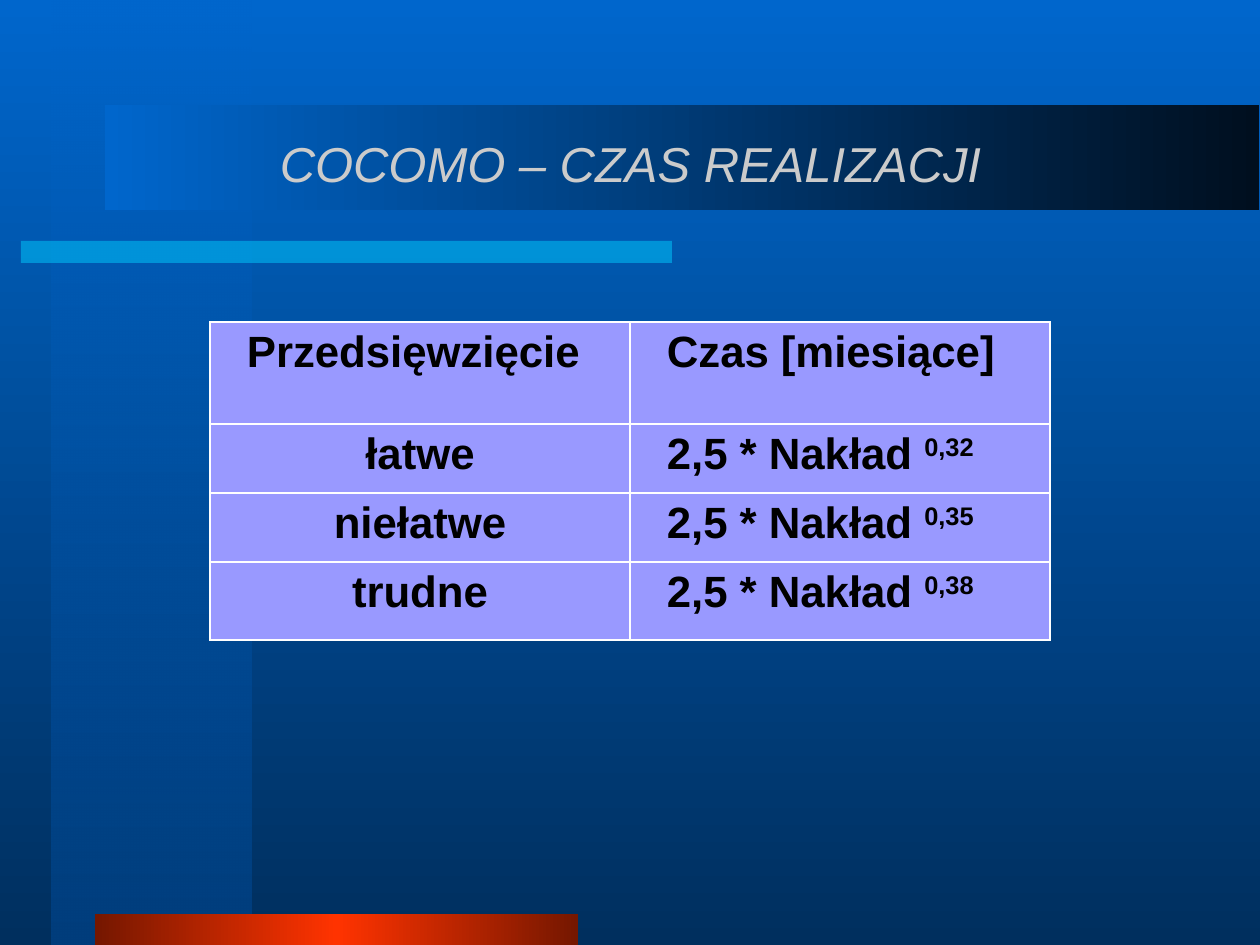
from lxml import etree
from pptx import Presentation
from pptx.dml.color import RGBColor
from pptx.enum.shapes import MSO_SHAPE
from pptx.enum.text import MSO_ANCHOR, PP_ALIGN
from pptx.oxml.ns import qn
from pptx.util import Pt

RECT = MSO_SHAPE.RECTANGLE
TOP = MSO_ANCHOR.TOP
LEFT, CENTER = PP_ALIGN.LEFT, PP_ALIGN.CENTER

# Content
TITLE = "COCOMO – CZAS REALIZACJI"
ROWS = [  # project kind, time formula, exponent
    ("Przedsięwzięcie", "Czas [miesiące]", ""),
    ("łatwe", "2,5 * Nakład ", "0,32"),
    ("niełatwe", "2,5 * Nakład ", "0,35"),
    ("trudne", "2,5 * Nakład ", "0,38"),
]

# Look
FONT = "Arial"
COLORS = {
    "sky": "0066CC", "deep": "002F5E", "column": "003E7D", "night": "000F1F",
    "cyan": "00CCFF", "rust": "751700", "red": "FF3300",
    "title": "CBCBCB", "cell": "9999FF", "text": "000000", "border": "FFFFFF",
}
BACKGROUND = [(0, "sky", 100), (100, "deep", 100)]  # position, colour, opacity
DECOR = [  # left, top, width, height, stops, angle
    (52, 0, 200, 945, [(0, "sky", 50), (100, "column", 100)], 270),
    (21, 241, 651, 22, [(0, "cyan", 50), (100, "cyan", 50)], 0),
    (95, 914, 483, 31, [(0, "rust", 100), (50, "red", 100), (100, "rust", 100)], 0),
    (105, 105, 1154, 105, [(0, "sky", 100), (100, "night", 100)], 0),
]

# Geometry
TITLE_BOX = (95, 134, 1071, 105)
TABLE_LEFT, TABLE_TOP = 210, 322
COL_WIDTH = 420
ROW_HEIGHTS = [102, 69, 69, 78]
PAD_X, PAD_Y, INDENT = 13, 6, 24


def px(value):
    return round(value * 914400 / 126)


def rgb(name):
    return RGBColor.from_string(COLORS[name])


def add_color(parent, name, opacity=100):
    color = etree.SubElement(parent, qn("a:srgbClr"), val=COLORS[name])
    if opacity < 100:
        etree.SubElement(color, qn("a:alpha"), val=str(opacity * 1000))


def set_gradient(owner, fill, stops, angle):
    fill.gradient()
    fill.gradient_angle = angle
    stop_list = next(owner._element.iter(qn("a:gsLst")))
    for old in list(stop_list):
        stop_list.remove(old)
    for position, name, opacity in stops:
        stop = etree.SubElement(stop_list, qn("a:gs"), pos=str(position * 1000))
        add_color(stop, name, opacity)


def set_font(font, size, color):
    font.name, font.size = FONT, Pt(size)
    font.color.rgb = rgb(color)


def set_borders(cell):
    props = cell._tc.get_or_add_tcPr()
    for index, side in enumerate(("lnL", "lnR", "lnT", "lnB")):
        line = etree.Element(qn(f"a:{side}"), w=str(Pt(1.08)))
        add_color(etree.SubElement(line, qn("a:solidFill")), "border")
        props.insert(index, line)


def fill_cell(cell, text, exponent, align, indent):
    cell.margin_left, cell.margin_right = px(PAD_X + indent), px(PAD_X)
    cell.margin_top = cell.margin_bottom = px(PAD_Y)
    cell.vertical_anchor = TOP
    cell.fill.solid()
    cell.fill.fore_color.rgb = rgb("cell")
    set_borders(cell)
    paragraph = cell.text_frame.paragraphs[0]
    paragraph.alignment = align
    set_font(paragraph.font, 25, "text")
    paragraph.font.bold = True
    paragraph.add_run().text = text
    if exponent:
        power = paragraph.add_run()
        power.text = exponent
        power._r.get_or_add_rPr().set("baseline", "30000")


prs = Presentation()
prs.slide_width, prs.slide_height = px(1260), px(945)
slide = prs.slides.add_slide(prs.slide_layouts[5])

# Background and decoration
set_gradient(slide, slide.background.fill, BACKGROUND, 270)
for *box, stops, angle in DECOR:
    bar = slide.shapes.add_shape(RECT, *map(px, box))
    bar.shadow.inherit = False
    bar.line.fill.background()
    set_gradient(bar, bar.fill, stops, angle)

# Title, in front of the dark band
title = slide.shapes.title
slide.shapes._spTree.append(title._element)
title.left, title.top, title.width, title.height = map(px, TITLE_BOX)
frame = title.text_frame
frame.text = TITLE
frame.word_wrap = True
frame.vertical_anchor = TOP
frame.margin_top = frame.margin_bottom = 0
heading = frame.paragraphs[0]
heading.alignment = CENTER
set_font(heading.font, 28, "title")
heading.font.italic = True

# Table of completion times
table = slide.shapes.add_table(
    len(ROWS), 2, px(TABLE_LEFT), px(TABLE_TOP),
    px(2 * COL_WIDTH), px(sum(ROW_HEIGHTS))).table
table.first_row = table.horz_banding = False
for column in table.columns:
    column.width = px(COL_WIDTH)
for i, (project, time, exponent) in enumerate(ROWS):
    table.rows[i].height = px(ROW_HEIGHTS[i])
    is_header = i == 0
    fill_cell(table.cell(i, 0), project, "",
              LEFT if is_header else CENTER, INDENT if is_header else 0)
    fill_cell(table.cell(i, 1), time, exponent, LEFT, INDENT)

prs.save("out.pptx")
